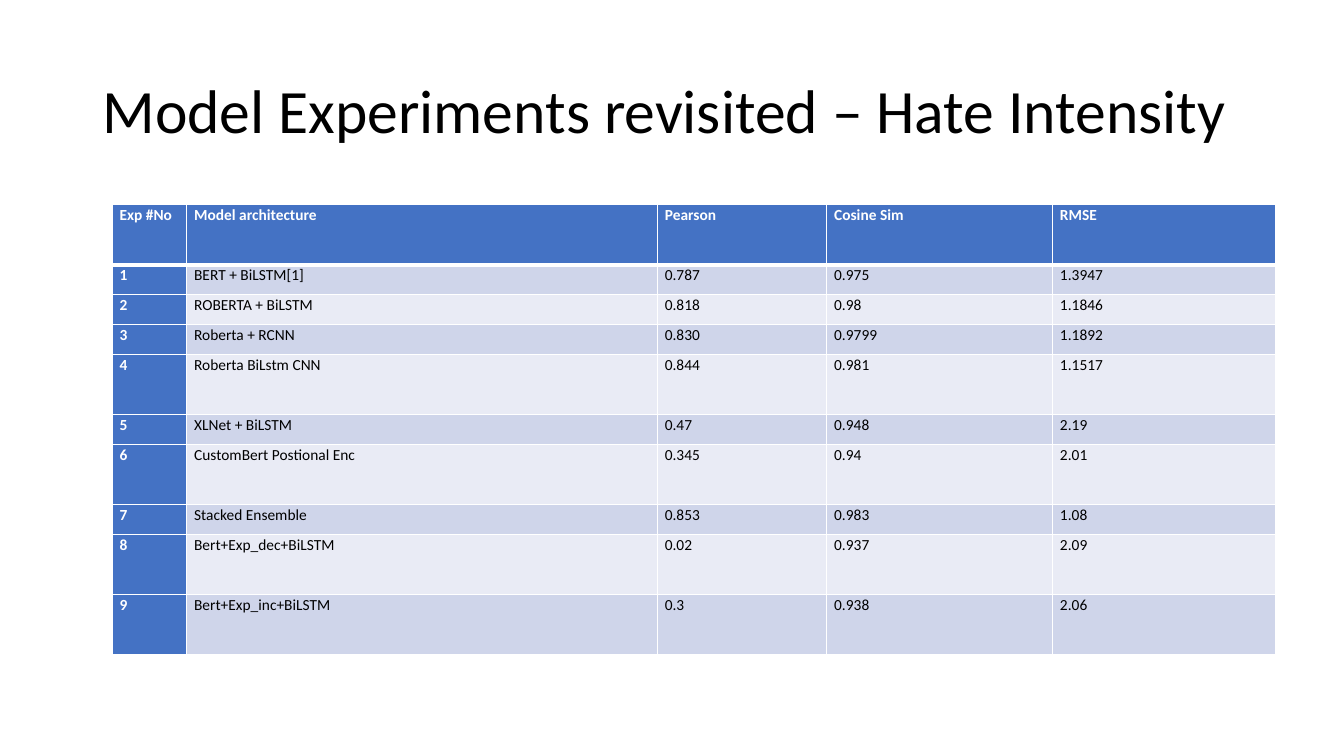
from pptx import Presentation
from pptx.dml.color import RGBColor
from pptx.enum.text import MSO_ANCHOR, PP_ALIGN
from pptx.oxml import parse_xml
from pptx.oxml.ns import nsdecls
from pptx.util import Pt

WHITE = RGBColor(0xFF, 0xFF, 0xFF)
BLACK = RGBColor(0x00, 0x00, 0x00)
BLUE = RGBColor(0x44, 0x72, 0xC4)
BANDS = (RGBColor(0xE9, 0xEB, 0xF5), RGBColor(0xCF, 0xD5, 0xEA))

FONT = "Calibri"
TITLE_FONT = {"name": FONT, "size": Pt(44), "bold": False}
CELL_FONT = {"name": FONT, "size": Pt(11)}
CELL_MARGINS = {
    "margin_left": Pt(5.4),
    "margin_right": Pt(5.4),
    "margin_top": Pt(0),
    "margin_bottom": Pt(0),
    "vertical_anchor": MSO_ANCHOR.TOP,
}
CELL_PARAGRAPH = {
    "alignment": PP_ALIGN.LEFT,
    "line_spacing": 1.07,
    "space_after": Pt(8),
}

COL_WIDTHS = (53.3, 336.2, 121, 161.3, 159.1)
SHORT_ROW, TALL_ROW = 21.45, 42.9
TALL_ROWS = {0, 4, 6, 8, 9}

EXPERIMENTS = (
    ("Exp #No", "Model architecture", "Pearson", "Cosine Sim", "RMSE"),
    ("1", "BERT + BiLSTM[1]", "0.787", "0.975", "1.3947"),
    ("2", "ROBERTA + BiLSTM", "0.818", "0.98", "1.1846"),
    ("3", "Roberta + RCNN", "0.830", "0.9799", "1.1892"),
    ("4", "Roberta BiLstm CNN", "0.844", "0.981", "1.1517"),
    ("5", "XLNet + BiLSTM", "0.47", "0.948", "2.19"),
    ("6", "CustomBert Postional Enc", "0.345", "0.94", "2.01"),
    ("7", "Stacked Ensemble", "0.853", "0.983", "1.08"),
    ("8", "Bert+Exp_dec+BiLSTM", "0.02", "0.937", "2.09"),
    ("9", "Bert+Exp_inc+BiLSTM", "0.3", "0.938", "2.06"),
)


def set_attrs(obj, values):
    """Set each attribute of obj from a dict."""
    for name, value in values.items():
        setattr(obj, name, value)


def add_text(p, text, font, color):
    """Add one formatted run to a paragraph."""
    r = p.add_run()
    r.text = text
    set_attrs(r.font, font)
    r.font.color.rgb = color


def add_title(slide, text):
    """Place and format the title placeholder."""
    sp = slide.shapes.title
    set_attrs(sp, {"left": Pt(66), "top": Pt(28.8), "width": Pt(851), "height": Pt(104.4)})
    tf = sp.text_frame
    set_attrs(tf, {"word_wrap": True, "vertical_anchor": MSO_ANCHOR.MIDDLE})
    p = tf.paragraphs[0]
    set_attrs(p, {"alignment": PP_ALIGN.LEFT, "line_spacing": 0.9})
    add_text(p, text, TITLE_FONT, BLACK)


def add_borders(cell, widths):
    """Draw white borders with a width in points for each side."""
    tcPr = cell._tc.get_or_add_tcPr()
    for side, width in widths.items():
        tcPr.append(parse_xml(
            f'<a:ln{side} {nsdecls("a")} w="{Pt(width)}"><a:solidFill>'
            f'<a:srgbClr val="{WHITE}"/></a:solidFill></a:ln{side}>'
        ))


def format_cell(cell, text, row, col):
    """Fill one table cell according to its row and column."""
    heading = row == 0 or col == 0
    set_attrs(cell, CELL_MARGINS)
    add_borders(cell, {"L": 1, "R": 1, "T": 3 if row == 1 else 1, "B": 3 if row == 0 else 1})
    cell.fill.solid()
    cell.fill.fore_color.rgb = BLUE if heading else BANDS[row % 2]
    p = cell.text_frame.paragraphs[0]
    set_attrs(p, CELL_PARAGRAPH)
    add_text(p, text, {**CELL_FONT, "bold": heading}, WHITE if heading else BLACK)


def add_results_table(slide, rows):
    """Add the table of experiment results."""
    heights = [TALL_ROW if i in TALL_ROWS else SHORT_ROW for i in range(len(rows))]
    table = slide.shapes.add_table(
        len(rows), len(COL_WIDTHS), Pt(80), Pt(146.2), Pt(sum(COL_WIDTHS)), Pt(sum(heights))
    ).table
    table.first_col = True
    for column, width in zip(table.columns, COL_WIDTHS):
        column.width = Pt(width)
    for i, (values, height) in enumerate(zip(rows, heights)):
        table.rows[i].height = Pt(height)
        for j, text in enumerate(values):
            format_cell(table.cell(i, j), text, i, j)


def main():
    """Build the slide and save it."""
    prs = Presentation()
    set_attrs(prs, {"slide_width": Pt(960), "slide_height": Pt(540)})
    slide = prs.slides.add_slide(prs.slide_layouts[5])
    add_title(slide, "Model Experiments revisited – Hate Intensity")
    add_results_table(slide, EXPERIMENTS)
    prs.save("out.pptx")


main()
